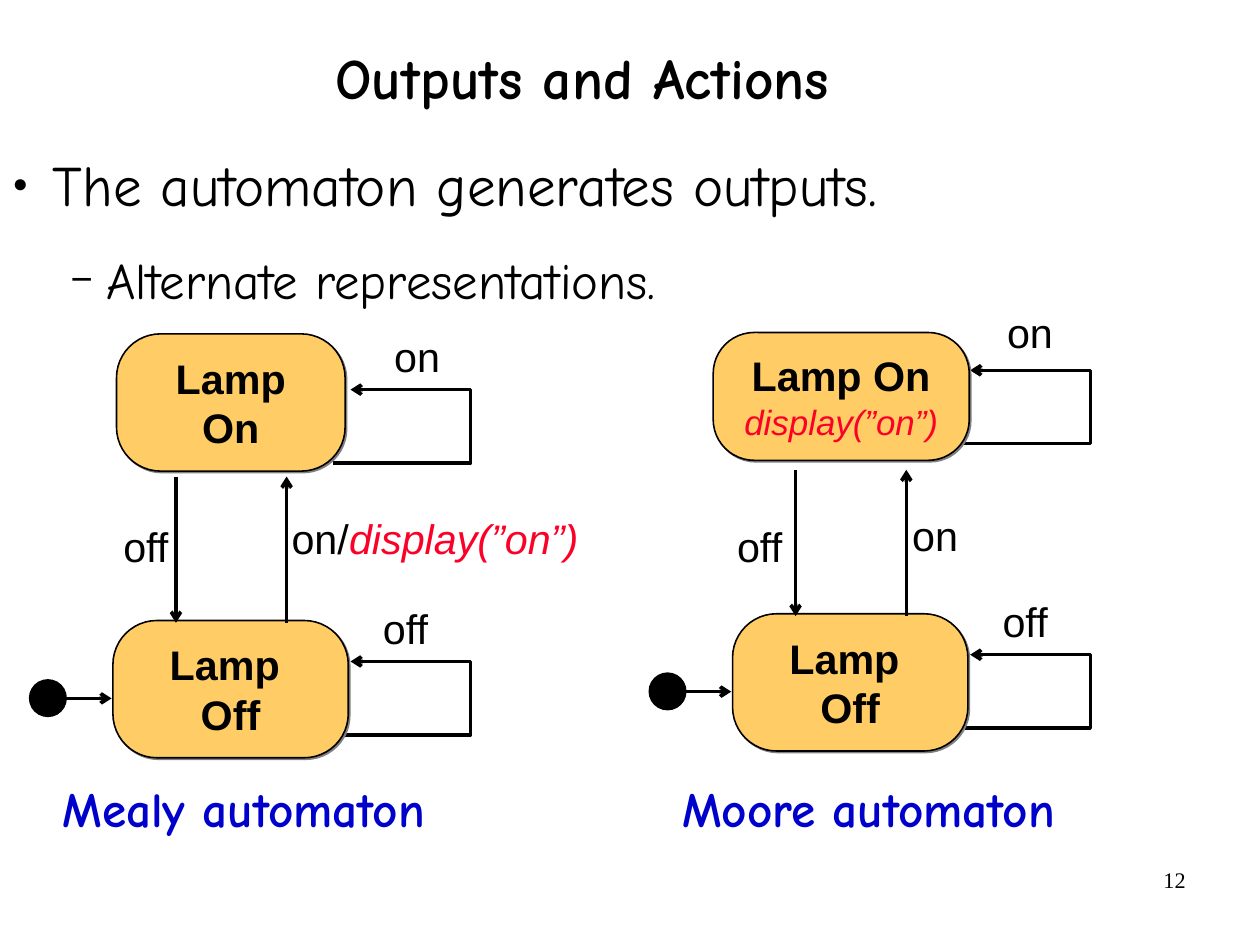
from lxml import etree
from pptx import Presentation
from pptx import util as u
from pptx.dml.color import RGBColor
from pptx.enum import shapes, text
from pptx.oxml import ns

COLORS = {"ink": "000000", "state": "FFCC66", "output": "FC0128",
          "caption": "0000CC", "shadow": "808080"}
FONTS = {"hand": "Comic Neue", "label": "Arial", "number": "Times New Roman"}
OUTPUT = "display(”on”)"


def element(parent, tag, **attributes):
    return etree.SubElement(parent, ns.qn("a:" + tag), attributes)


def color(name):
    return RGBColor.from_string(COLORS[name])


def write(para, content, font="label", size=26, ink="ink", bold=False, italic=False):
    for index, line in enumerate(content.split("\v")):
        if index:
            para.add_line_break()
        span = para.add_run()
        span.text = line
        span.font.name = FONTS[font]
        span.font.size = u.Pt(size)
        span.font.bold = bold
        span.font.italic = italic
        span.font.color.rgb = color(ink)


class AutomatonSlide:
    def __init__(self, deck):
        self.page = deck.slides.add_slide(deck.slide_layouts[1])
        self.items = self.page.shapes

    def frame(self, box, margins=(0.28, 0.15), wrap=True, anchor="TOP"):
        frame = box.text_frame
        frame.word_wrap = wrap
        frame.auto_size = text.MSO_AUTO_SIZE.NONE
        frame.vertical_anchor = getattr(text.MSO_ANCHOR, anchor)
        frame.margin_left = frame.margin_right = u.Cm(margins[0])
        frame.margin_top = frame.margin_bottom = u.Cm(margins[1])
        return frame

    def place(self, box, left, top, width, height):
        box.left, box.top = u.Cm(left), u.Cm(top)
        box.width, box.height = u.Cm(width), u.Cm(height)

    def title(self, content):
        box = self.items.title
        self.place(box, 1, 0.53, 23.88, 2.54)
        para = self.frame(box, (0, 0), anchor="MIDDLE").paragraphs[0]
        para.alignment = text.PP_ALIGN.CENTER
        para.line_spacing = 0.88
        write(para, content, font="hand", size=36, bold=True)

    def bullets(self, entries):
        box = self.page.placeholders[1]
        self.place(box, 0, 3.31, 28, 16.3)
        frame = self.frame(box, (0, 0))
        for index, (content, size, mark, scale, left, hang, spacing) in enumerate(entries):
            para = frame.add_paragraph() if index else frame.paragraphs[0]
            para.level = index
            properties = para._p.get_or_add_pPr()
            properties.set("marL", str(u.Cm(left)))
            properties.set("indent", str(u.Cm(-hang)))
            element(element(properties, "buClr"), "srgbClr", val=COLORS["ink"])
            element(properties, "buSzPct", val=str(scale * 1000))
            element(properties, "buFont", typeface=FONTS["label"])
            element(properties, "buChar", char=mark)
            para.space_before = u.Pt(6 if index else 0)
            para.space_after = u.Pt(6)
            para.line_spacing = spacing
            write(para, content, font="hand", size=size)

    def label(self, left, top, *spans, width=1.57, height=1.37, **style):
        box = self.items.add_textbox(u.Cm(left), u.Cm(top), u.Cm(width), u.Cm(height))
        para = self.frame(box, wrap=False).paragraphs[0]
        for content, extra in spans:
            write(para, content, **{**style, **extra})

    def number(self, content):
        box = self.items.add_textbox(u.Cm(20.07), u.Cm(19.13), u.Cm(6.53), u.Cm(1.45))
        para = self.frame(box, (0.25, 0.13)).paragraphs[0]
        para.alignment = text.PP_ALIGN.RIGHT
        write(para, content, font="number", size=14)

    def solid(self, preset, fill, left, top, width, height):
        box = self.items.add_shape(preset, u.Cm(left), u.Cm(top), u.Cm(width), u.Cm(height))
        box.shadow.inherit = False
        box.fill.solid()
        box.fill.fore_color.rgb = color(fill)
        box.line.color.rgb = color("ink")
        box.line.width = u.Pt(1)
        return box

    def state(self, area, *lines):
        box = self.solid(shapes.MSO_SHAPE.ROUNDED_RECTANGLE, "state", *area)
        box.adjustments[0] = 0.32
        effects = box._element.spPr.find(ns.qn("a:effectLst"))
        shadow = element(effects, "outerShdw", dist=str(u.Pt(1.4)), dir="2700000",
                         algn="ctr", rotWithShape="0")
        element(shadow, "srgbClr", val=COLORS["shadow"])
        frame = self.frame(box, anchor="MIDDLE")
        for index, (content, style) in enumerate(lines):
            para = frame.add_paragraph() if index else frame.paragraphs[0]
            para.alignment = text.PP_ALIGN.CENTER
            write(para, content, **style)

    def arrow_line(self, line):
        line.color.rgb = color("ink")
        line.width = u.Pt(2.25)
        element(line._get_or_add_ln(), "tailEnd", type="arrow")

    def arrow(self, *ends):
        connector = self.items.add_connector(shapes.MSO_CONNECTOR.STRAIGHT, *map(u.Cm, ends))
        self.arrow_line(connector.line)
        element(connector._element.spPr, "effectLst")

    def loop(self, left, top):
        right, bottom = left + 3.07, top + 1.63
        corners = [(right, bottom), (right, top), (left + 0.4, top)]
        builder = self.items.build_freeform(u.Cm(left), u.Cm(bottom))
        builder.add_line_segments([(u.Cm(x), u.Cm(y)) for x, y in corners], close=False)
        outline = builder.convert_to_shape()
        outline.shadow.inherit = False
        outline.fill.background()
        self.arrow_line(outline.line)

    def automaton(self, left, top, on_area, on_lines, loop_top, loop_label,
                  off_label, on_label, on_spans, on_width, caption):
        self.loop(left + 4.88, loop_top)
        self.label(*loop_label, ("on", {}))
        self.loop(left + 4.88, top + 0.91)
        self.label(left + 5.72, top - 0.53, ("off", {}))
        self.state(on_area, *on_lines)
        self.state((left, top, 5.23, 3.05), ("Lamp \vOff", {"bold": True}))
        self.arrow(left + 1.4, top - 3.2, left + 1.4, top + 0.05)
        self.label(*off_label, ("off", {}))
        self.label(*on_label, *on_spans, width=on_width)
        self.arrow(left + 3.86, top + 0.05, left + 3.86, top - 3.2)
        self.arrow(left - 1.45, top + 1.73, left - 0.03, top + 1.73)
        self.solid(shapes.MSO_SHAPE.OVAL, "ink", left - 1.85, top + 1.32, 0.81, 0.81)
        self.label(left - 1.4, 17.15, (caption, {}), width=8.8, height=1.6,
                   font="hand", size=31, ink="caption", bold=True)


def main():
    deck = Presentation()
    deck.slide_width, deck.slide_height = u.Cm(28), u.Cm(21)
    slide = AutomatonSlide(deck)
    slide.number("12")
    slide.title("Outputs and Actions")
    slide.bullets([
        ("The automaton generates outputs.", 36, "●", 45, 1.17, 0.89, 1.0),
        ("Alternate representations.", 32, "−", 75, 2.36, 0.79, 1.2),
    ])
    lamp_on = ("Lamp On", {"bold": True})
    output = {"ink": "output", "italic": True}
    slide.automaton(
        16.28, 13.64, on_area=(15.85, 7.39, 5.69, 2.84),
        on_lines=[lamp_on, (OUTPUT, {**output, "size": 22})],
        loop_top=8.23, loop_label=(22.1, 6.68), off_label=(16.1, 11.43),
        on_label=(19.99, 11.2), on_spans=[("on", {})], on_width=1.57,
        caption="Moore automaton")
    slide.automaton(
        2.51, 13.79, on_area=(2.59, 7.42, 5.08, 3.05), on_lines=[lamp_on],
        loop_top=8.66, loop_label=(8.48, 7.21), off_label=(2.46, 11.43),
        on_label=(6.2, 11.25), on_spans=[("on/", {}), (OUTPUT, output)], on_width=6.93,
        caption="Mealy automaton")
    deck.save("out.pptx")


if __name__ == "__main__":
    main()
